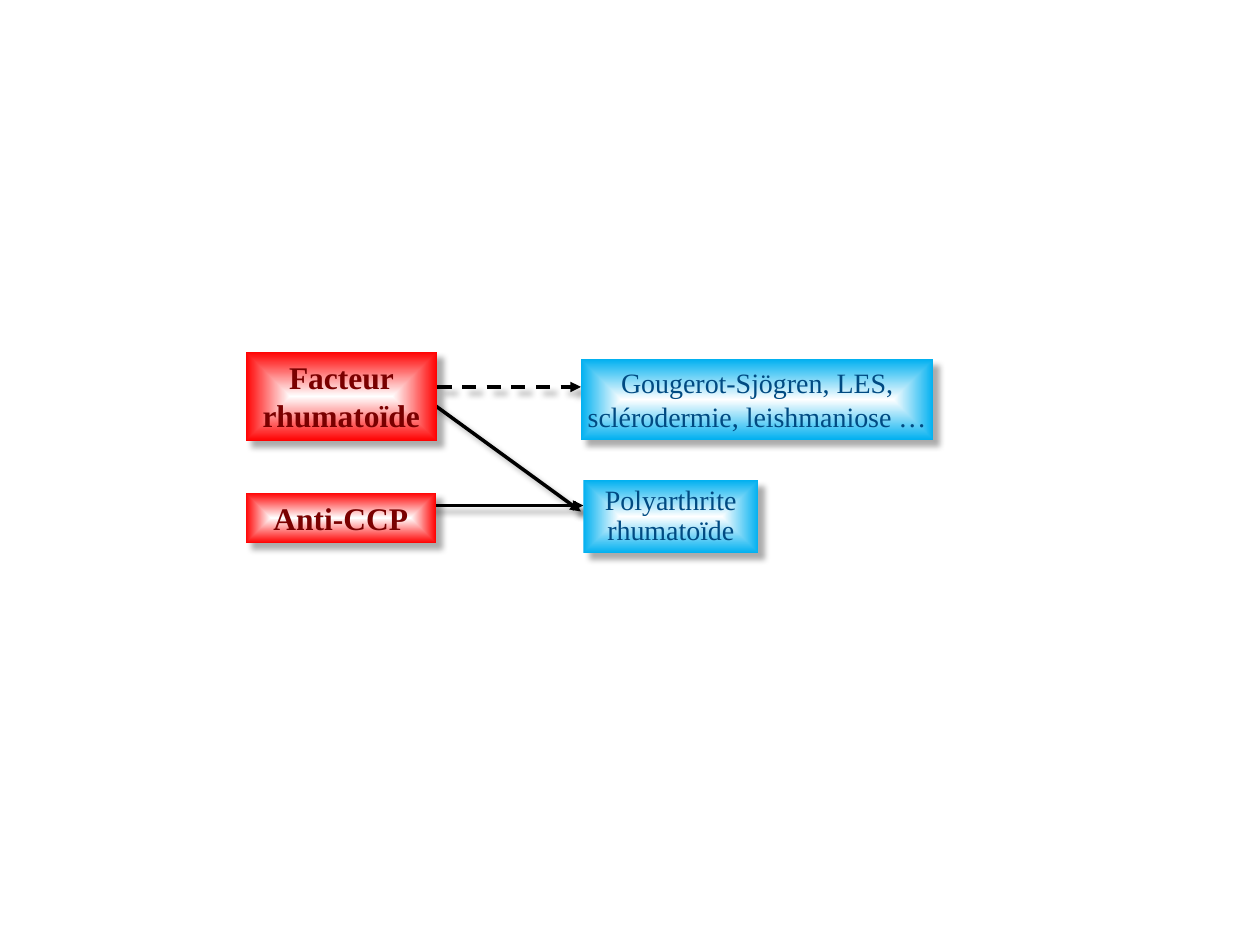
from pptx import Presentation
from pptx import util as u
from pptx.dml import color
from pptx.enum import dml, shapes, text
from pptx.oxml import parse_xml
from pptx.oxml import ns


def rgb(value):
    return color.RGBColor.from_string(value)


def add_shadow(properties):
    properties.append(parse_xml(
        f'<a:effectLst {ns.nsdecls("a")}>'
        '<a:outerShdw blurRad="44450" dist="63500" dir="2700000" algn="tl" rotWithShape="0">'
        '<a:srgbClr val="000000"><a:alpha val="32000"/></a:srgbClr>'
        '</a:outerShdw></a:effectLst>'))


deck = Presentation()
deck.slide_width, deck.slide_height = u.Cm(25.4), u.Cm(19.05)
page = deck.slides.add_slide(deck.slide_layouts[6])

arrows = [
    (8.71, 8.13, 11.71, 10.31, None),
    (6.88, 10.19, 11.76, 10.19, None),
    (6.83, 7.8, 11.71, 7.8, dml.MSO_LINE.DASH),
]
for x1, y1, x2, y2, dash in arrows:
    arrow = page.shapes.add_connector(
        shapes.MSO_CONNECTOR.STRAIGHT, u.Cm(x1), u.Cm(y1), u.Cm(x2), u.Cm(y2))
    arrow.line.color.rgb = rgb("000000")
    arrow.line.width = u.Pt(2)
    if dash:
        arrow.line.dash_style = dash
    arrow.line._get_or_add_ln().append(
        parse_xml(f'<a:tailEnd {ns.nsdecls("a")} type="triangle"/>'))
    add_shadow(arrow._element.spPr)

antibody = ("FF0000", "7A0000", 18, True)
disease = ("00B0F0", "004A82", 16, False)
boxes = [
    ("Facteur rhumatoïde", 4.95, 7.09, 3.86, 1.8, antibody, 0.25, None),
    ("Anti-CCP", 4.95, 9.93, 3.84, 1.02, antibody, 0.25, None),
    ("Gougerot-Sjögren, LES, sclérodermie, leishmaniose …",
     11.71, 7.24, 7.11, 1.63, disease, 0.1, None),
    ("Polyarthrite rhumatoïde", 11.76, 9.68, 3.53, 1.47, disease, 0.25, u.Pt(17)),
]
for label, left, top, width, height, style, inset, spacing in boxes:
    edge_color, text_color, size, bold = style
    box = page.shapes.add_shape(
        shapes.MSO_SHAPE.RECTANGLE, u.Cm(left), u.Cm(top), u.Cm(width), u.Cm(height))
    box.line.fill.background()
    properties = box._element.spPr
    properties.find(ns.qn("a:prstGeom")).addnext(parse_xml(
        f'<a:gradFill {ns.nsdecls("a")} rotWithShape="1"><a:gsLst>'
        '<a:gs pos="0"><a:srgbClr val="FFFFFF"/></a:gs>'
        f'<a:gs pos="100000"><a:srgbClr val="{edge_color}"/></a:gs></a:gsLst>'
        '<a:path path="shape"><a:fillToRect l="50000" t="50000" r="50000" b="50000"/></a:path>'
        '</a:gradFill>'))
    add_shadow(properties)

    frame = box.text_frame
    frame.word_wrap = True
    frame.auto_size = text.MSO_AUTO_SIZE.SHAPE_TO_FIT_TEXT
    frame.vertical_anchor = text.MSO_ANCHOR.TOP
    frame.margin_left = frame.margin_right = u.Cm(inset)
    frame.margin_top = frame.margin_bottom = u.Cm(0.13)
    para = frame.paragraphs[0]
    para.alignment = text.PP_ALIGN.CENTER
    if spacing:
        para.line_spacing = spacing
    span = para.add_run()
    span.text = label
    span.font.name = "Times New Roman"
    span.font.size = u.Pt(size)
    span.font.bold = bold
    span.font.color.rgb = rgb(text_color)

deck.save("out.pptx")
